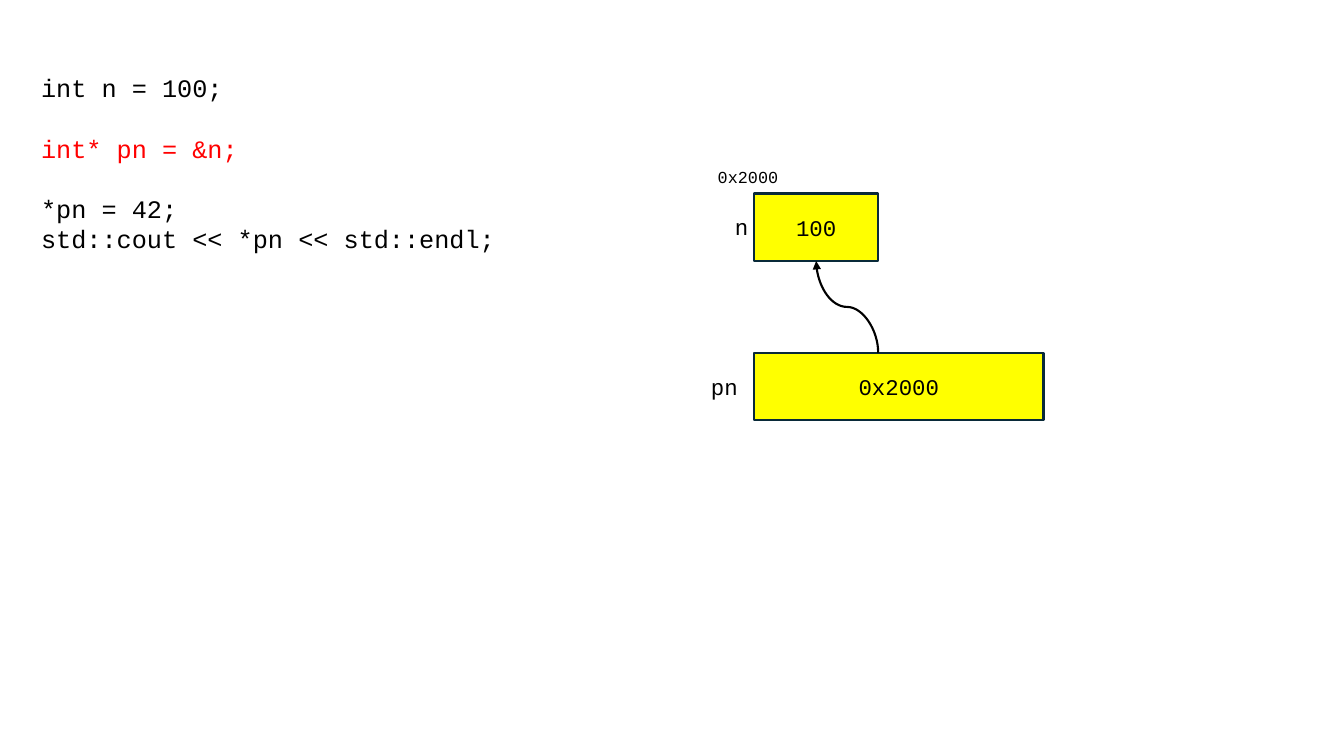
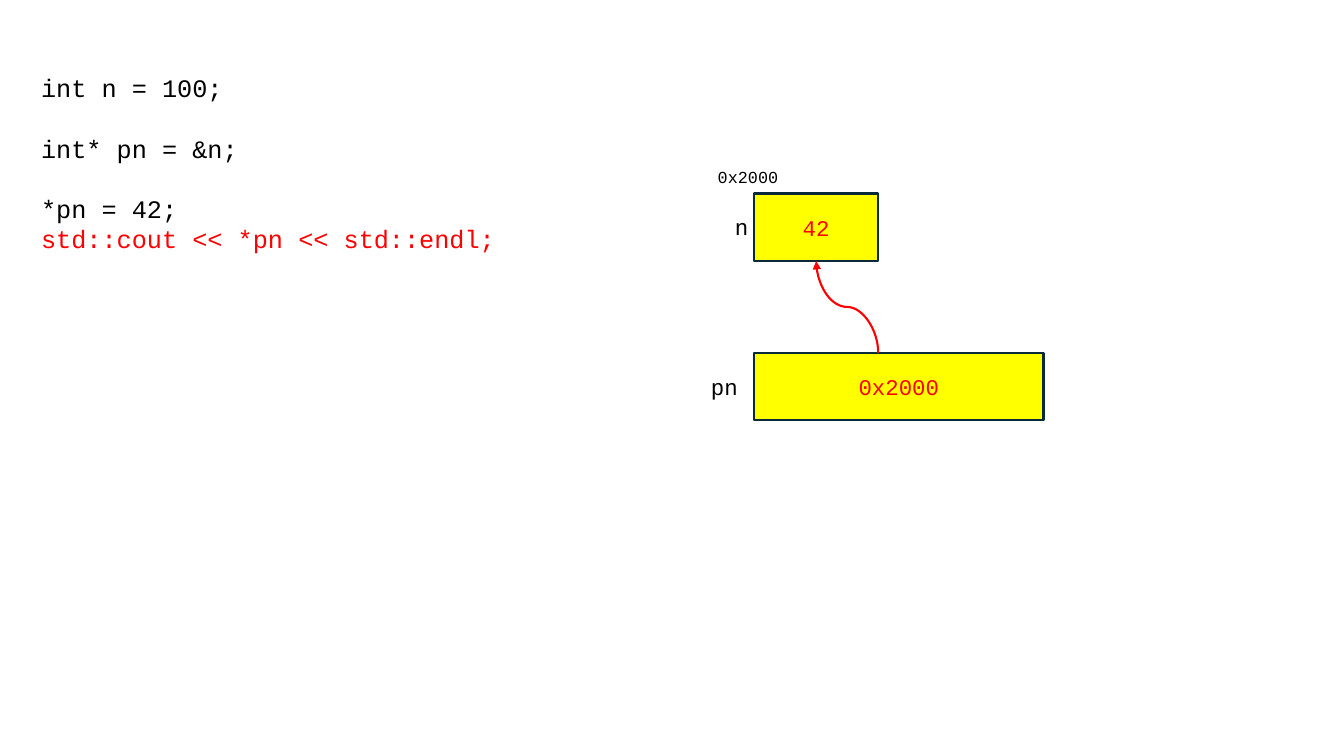
from pptx import Presentation
from pptx.dml.color import RGBColor
from pptx.enum.shapes import MSO_CONNECTOR, MSO_SHAPE
from pptx.enum.text import MSO_ANCHOR, PP_ALIGN
from pptx.oxml.ns import qn
from pptx.util import Inches, Pt
from lxml.etree import SubElement

FONT = "Courier New"
BLACK, RED, YELLOW, OUTLINE = "000000", "FF0000", "FFFF00", "092A39"
CODE_SIZE, NAME_SIZE, ADDRESS_SIZE = 18, 16, 12
LINE_WIDTH = 1.5
BLANK_LINE = 21.6  # gap in points between groups of statements

# Content: code as groups of statements, then the state on each slide
CODE_GROUPS = [
    ["int n = 100;"],
    ["int* pn = &n;"],
    ["*pn = 42;", "std::cout << *pn << std::endl;"],
]
ADDRESS = "0x2000"
STEPS = [
    {"current": "int* pn = &n;", "n": "100", "color": BLACK},
    {"current": "std::cout << *pn << std::endl;", "n": "42", "color": RED},
]

# Places: left, top, width, height in inches
CODE_BOX = (0.31, 0.67, 5.23, 1.92)
N_BOX = (7.48, 1.92, 1.23, 0.67)
PN_BOX = (7.48, 3.5, 2.87, 0.67)
LABELS = [
    ("n", (7.19, 2.07, 0.26, 0.37), NAME_SIZE, PP_ALIGN.CENTER),
    ("pn", (6.92, 3.65, 0.53, 0.37), NAME_SIZE, PP_ALIGN.CENTER),
    (ADDRESS, (7.02, 1.61, 1.19, 0.3), ADDRESS_SIZE, PP_ALIGN.LEFT),
]


def rgb(color):
    return RGBColor.from_string(color)


def add_run(paragraph, text, size, color=BLACK):
    run = paragraph.add_run()
    run.text = text
    run.font.name, run.font.size = FONT, Pt(size)
    run.font.color.rgb = rgb(color)


def add_text_frame(slide, box):
    frame = slide.shapes.add_textbox(*map(Inches, box)).text_frame
    frame.word_wrap = True
    return frame


def add_code(slide, current):
    frame = add_text_frame(slide, CODE_BOX)
    paragraph = frame.paragraphs[0]
    for group_index, group in enumerate(CODE_GROUPS):
        for line_index, line in enumerate(group):
            if group_index or line_index:
                paragraph = frame.add_paragraph()
            if group_index and not line_index:
                paragraph.space_before = Pt(BLANK_LINE)
            add_run(paragraph, line, CODE_SIZE, RED if line == current else BLACK)


def add_label(slide, text, box, size, alignment):
    frame = add_text_frame(slide, box)
    frame.word_wrap = False
    paragraph = frame.paragraphs[0]
    paragraph.alignment = alignment
    add_run(paragraph, text, size)


def add_variable(slide, text, box, color):
    shape = slide.shapes.add_shape(MSO_SHAPE.RECTANGLE, *map(Inches, box))
    shape.shadow.inherit = False
    shape.fill.solid()
    shape.fill.fore_color.rgb = rgb(YELLOW)
    shape.line.color.rgb = rgb(OUTLINE)
    shape.line.width = Pt(LINE_WIDTH)
    shape.text_frame.vertical_anchor = MSO_ANCHOR.MIDDLE
    paragraph = shape.text_frame.paragraphs[0]
    paragraph.alignment = PP_ALIGN.CENTER
    add_run(paragraph, text, NAME_SIZE, color)


def add_pointer(slide, color):
    """Curve from the top of pn up to the bottom middle of n."""
    left, top, width, height = N_BOX
    start_x, start_y = left + width, PN_BOX[1]
    end_x, end_y = left + width / 2, top + height
    middle_x, middle_y = (start_x + end_x) / 2, (start_y + end_y) / 2
    half_rise, half_run = (start_y - end_y) / 2, (start_x - end_x) / 2
    # Laid on its side, then turned by 270 degrees so that it leaves upwards
    connector = slide.shapes.add_connector(
        MSO_CONNECTOR.CURVE,
        Inches(middle_x - half_rise), Inches(middle_y + half_run),
        Inches(middle_x + half_rise), Inches(middle_y - half_run))
    properties = connector._element.spPr
    properties.find(qn("a:xfrm")).set("rot", str(270 * 60000))
    connector.line.color.rgb = rgb(color)
    connector.line.width = Pt(LINE_WIDTH)
    SubElement(properties.find(qn("a:ln")), qn("a:tailEnd"), type="triangle")
    SubElement(properties, qn("a:effectLst"))


def main():
    presentation = Presentation()
    presentation.slide_width, presentation.slide_height = Inches(13.33), Inches(7.5)
    for step in STEPS:
        slide = presentation.slides.add_slide(presentation.slide_layouts[6])
        add_code(slide, step["current"])
        add_variable(slide, step["n"], N_BOX, step["color"])
        add_variable(slide, ADDRESS, PN_BOX, step["color"])
        for label in LABELS:
            add_label(slide, *label)
        add_pointer(slide, step["color"])
    presentation.save("out.pptx")


if __name__ == "__main__":
    main()
